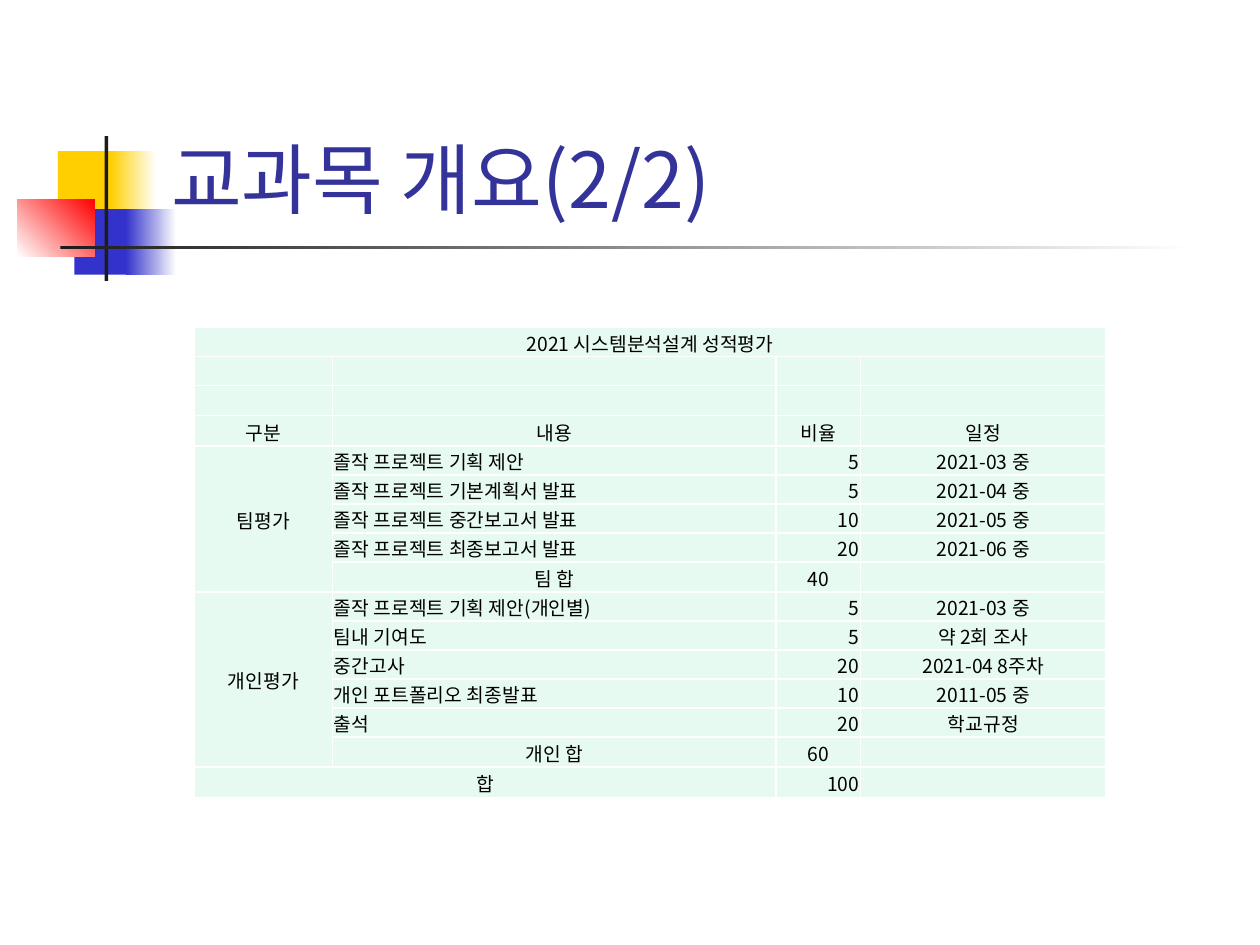
from lxml.etree import SubElement
from pptx import Presentation
from pptx.dml.color import RGBColor
from pptx.enum.shapes import MSO_SHAPE
from pptx.enum.text import MSO_ANCHOR, PP_ALIGN
from pptx.oxml.ns import qn
from pptx.util import Inches, Pt

FONT = "Noto Sans CJK KR"
COLORS = {"yellow": "FFCF01", "blue": "3333CC", "red": "FF0000", "dark": "1C1C1C",
          "white": "FFFFFF", "title": "333399", "text": "000000", "cell": "E7FAF1"}

TITLE = "교과목 개요(2/2)"
# left, top, width, height, colours (two make a gradient), gradient angle
DECORATION = [
    (0.46, 1.2, 0.48, 0.52, ["yellow"], 0),
    (0.88, 1.2, 0.36, 0.52, ["yellow", "white"], 0),
    (0.59, 1.66, 0.46, 0.52, ["blue"], 0),
    (1.0, 1.66, 0.4, 0.52, ["blue", "white"], 0),
    (0.14, 1.58, 0.61, 0.46, ["white", "red"], 45),
    (0.83, 1.08, 0.03, 1.15, ["dark"], 0),
    (0.48, 1.95, 9, 0.03, ["dark", "white"], 0),
]
ROWS = [
    ("2021 시스템분석설계 성적평가", "", "", ""),
    ("", "", "", ""),
    ("", "", "", ""),
    ("구분", "내용", "비율", "일정"),
    ("팀평가", "졸작 프로젝트 기획 제안", "5", "2021-03 중"),
    ("", "졸작 프로젝트 기본계획서 발표", "5", "2021-04 중"),
    ("", "졸작 프로젝트 중간보고서 발표", "10", "2021-05 중"),
    ("", "졸작 프로젝트 최종보고서 발표", "20", "2021-06 중"),
    ("", "팀 합", "40", ""),
    ("개인평가", "졸작 프로젝트 기획 제안(개인별)", "5", "2021-03 중"),
    ("", "팀내 기여도", "5", "약 2회 조사"),
    ("", "중간고사", "20", "2021-04 8주차"),
    ("", "개인 포트폴리오 최종발표", "10", "2011-05 중"),
    ("", "출석", "20", "학교규정"),
    ("", "개인 합", "60", ""),
    ("합", "", "100", ""),
]
MERGES = [((0, 0), (0, 3)), ((4, 0), (8, 0)), ((9, 0), (14, 0)), ((15, 0), (15, 1))]
COL_WIDTHS = [1.1, 3.52, 0.67, 1.95]
COL_ALIGN = [PP_ALIGN.CENTER, PP_ALIGN.LEFT, PP_ALIGN.RIGHT, PP_ALIGN.CENTER]
CENTERED_ROWS = {0, 3, 8, 14}
TALL_ROWS = {2, 3, 8, 14, 15}


def rgb(name):
    return RGBColor.from_string(COLORS[name])


def style_run(r, size, color):
    r.font.size = Pt(size)
    r.font.name = FONT
    r.font.color.rgb = rgb(color)
    SubElement(r._r.get_or_add_rPr(), qn("a:ea"), typeface=FONT)


def add_block(slide, left, top, width, height, colors, angle):
    s = slide.shapes.add_shape(MSO_SHAPE.RECTANGLE, Inches(left), Inches(top),
                               Inches(width), Inches(height))
    s.shadow.inherit = False
    s.line.fill.background()
    if len(colors) == 1:
        s.fill.solid()
        s.fill.fore_color.rgb = rgb(colors[0])
    else:
        s.fill.gradient()
        s.fill.gradient_angle = angle
        for stop, color in zip(s.fill.gradient_stops, colors):
            stop.color.rgb = rgb(color)


def add_title(slide):
    s = slide.shapes.add_textbox(Inches(1.26), Inches(0.23), Inches(8.52), Inches(1.6))
    tf = s.text_frame
    tf.word_wrap = True
    tf.vertical_anchor = MSO_ANCHOR.BOTTOM
    tf.text = TITLE
    style_run(tf.paragraphs[0].runs[0], 44, "title")


def set_borders(cell):
    tc_pr = cell._tc.get_or_add_tcPr()
    for side in ("lnL", "lnR", "lnT", "lnB"):
        ln = SubElement(tc_pr, qn(f"a:{side}"), w=str(Pt(1)))
        SubElement(SubElement(ln, qn("a:solidFill")), qn("a:srgbClr"), val=COLORS["white"])


def fill_cell(cell, text, align):
    set_borders(cell)
    cell.fill.solid()
    cell.fill.fore_color.rgb = rgb("cell")
    cell.margin_left = cell.margin_right = cell.margin_top = Inches(0.01)
    cell.margin_bottom = 0
    cell.vertical_anchor = MSO_ANCHOR.MIDDLE
    p = cell.text_frame.paragraphs[0]
    p.alignment = align
    if text:
        p.text = text
        style_run(p.runs[0], 11, "text")
    else:  # keeps an empty row from growing to the default text size
        SubElement(p._p, qn("a:endParaRPr"), sz="1100")


def add_grades(slide):
    heights = [0.24 if i in TALL_ROWS else 0.23 for i in range(len(ROWS))]
    table = slide.shapes.add_table(len(ROWS), len(COL_WIDTHS), Inches(1.54), Inches(2.6),
                                   Inches(sum(COL_WIDTHS)), Inches(sum(heights))).table
    for col, width in zip(table.columns, COL_WIDTHS):
        col.width = Inches(width)
    for i, texts in enumerate(ROWS):
        table.rows[i].height = Inches(heights[i])
        for j, text in enumerate(texts):
            align = PP_ALIGN.CENTER if i in CENTERED_ROWS else COL_ALIGN[j]
            fill_cell(table.cell(i, j), text, align)
    for first, last in MERGES:
        table.cell(*first).merge(table.cell(*last))


def main():
    prs = Presentation()
    prs.slide_width, prs.slide_height = Inches(10), Inches(7.5)
    slide = prs.slides.add_slide(prs.slide_layouts[6])
    for block in DECORATION:
        add_block(slide, *block)
    add_title(slide)
    add_grades(slide)
    prs.save("out.pptx")


if __name__ == "__main__":
    main()
